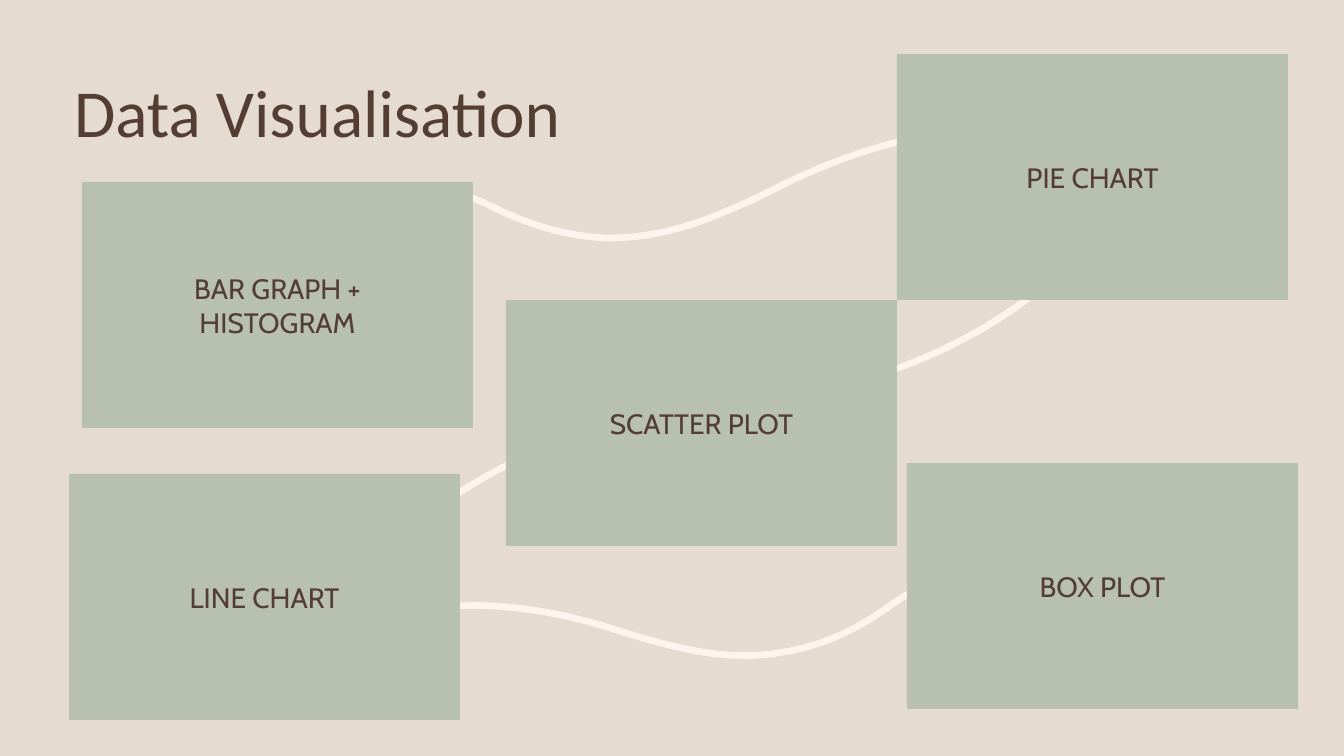
from dataclasses import dataclass

from lxml.etree import SubElement
from pptx import Presentation
from pptx.dml.color import RGBColor
from pptx.enum.shapes import MSO_SHAPE
from pptx.enum.text import MSO_ANCHOR, MSO_AUTO_SIZE, PP_ALIGN
from pptx.oxml.ns import qn
from pptx.util import Pt

PX = 914400 / 100.8
WIDE, HIGH = 1344, 756
CARD = (391, 246)


@dataclass(frozen=True)
class Theme:
    back: str = "E6DBD0"
    card: str = "B8C0B0"
    line: str = "FEF3ED"
    ink: str = "543E34"
    head: str = "Calibri"
    body: str = "Cabin"
    big: int = 48
    small: int = 20
    stroke: float = 4.75


def emu(px):
    return round(px * PX)


def tint(fill, code):
    fill.solid()
    fill.fore_color.rgb = RGBColor.from_string(code)


def bend(shape):
    """Turn each three straight steps of a freeform into one cubic curve."""
    track = shape.element.find(".//" + qn("a:path"))
    steps = track.findall(qn("a:lnTo"))
    for i in range(0, len(steps), 3):
        curve = SubElement(track, qn("a:cubicBezTo"))
        for step in steps[i:i + 3]:
            curve.append(step[0])
            track.remove(step)


class Deck:
    def __init__(self, theme):
        self.theme = theme
        self.file = Presentation()
        self.file.slide_width = emu(WIDE)
        self.file.slide_height = emu(HIGH)
        self.slide = self.file.slides.add_slide(self.file.slide_layouts[5])
        tint(self.slide.background.fill, theme.back)

    def add_text(self, para, text, face, size):
        run = para.add_run()
        run.text = text
        run.font.name = face
        run.font.size = Pt(size)
        run.font.color.rgb = RGBColor.from_string(self.theme.ink)

    def title(self, text, left, top, width, height):
        box = self.slide.shapes.title
        box.left, box.top, box.width, box.height = map(
            emu, (left, top, width, height))
        frame = box.text_frame
        frame.auto_size = MSO_AUTO_SIZE.NONE
        frame.vertical_anchor = MSO_ANCHOR.MIDDLE
        para = frame.paragraphs[0]
        para.alignment = PP_ALIGN.LEFT
        para.line_spacing = 0.9
        self.add_text(para, text, self.theme.head, self.theme.big)

    def curve(self, points):
        """Draw a start point followed by triples of Bezier points."""
        pen = self.slide.shapes.build_freeform(*points[0], scale=PX)
        pen.add_line_segments(points[1:], close=False)
        shape = pen.convert_to_shape()
        bend(shape)
        shape.shadow.inherit = False
        shape.fill.background()
        tint(shape.line.fill, self.theme.line)
        shape.line.width = Pt(self.theme.stroke)

    def card(self, lines, left, top):
        shape = self.slide.shapes.add_shape(
            MSO_SHAPE.RECTANGLE, *map(emu, (left, top, *CARD)))
        shape.shadow.inherit = False
        tint(shape.fill, self.theme.card)
        shape.line.fill.background()
        frame = shape.text_frame
        frame.word_wrap = True
        frame.vertical_anchor = MSO_ANCHOR.MIDDLE
        for i, text in enumerate(lines):
            para = frame.add_paragraph() if i else frame.paragraphs[0]
            para.alignment = PP_ALIGN.CENTER
            self.add_text(para, text, self.theme.body, self.theme.small)


CURVES = [
    [(840, 386), (920, 366), (993, 330), (1055, 277)],
    [(589, 431), (513, 456), (449, 494), (392, 543)],
    [(309, 225),
     (353, 188), (401, 178), (453, 192),
     (470, 196), (485, 203), (501, 211),
     (534, 226), (570, 237), (609, 238),
     (642, 238), (675, 231), (707, 219),
     (743, 205), (763, 195), (784, 184),
     (810, 172), (948, 104), (1035, 147)],
    [(927, 584),
     (911, 591), (898, 600), (884, 610),
     (855, 630), (822, 646), (784, 652),
     (752, 658), (720, 656), (686, 649),
     (650, 641), (629, 634), (607, 627),
     (583, 620), (437, 575), (350, 641)],
]

CARDS = [
    (["BAR GRAPH +", "HISTOGRAM"], 82, 182),
    (["PIE CHART"], 897, 54),
    (["SCATTER PLOT"], 506, 300),
    (["LINE CHART"], 69, 474),
    (["BOX PLOT"], 907, 463),
]


def main():
    deck = Deck(Theme())
    deck.title("Data Visualisation", 64, 78, 1008, 75)
    for points in CURVES:
        deck.curve(points)
    for lines, left, top in CARDS:
        deck.card(lines, left, top)
    deck.file.save("out.pptx")


if __name__ == "__main__":
    main()
